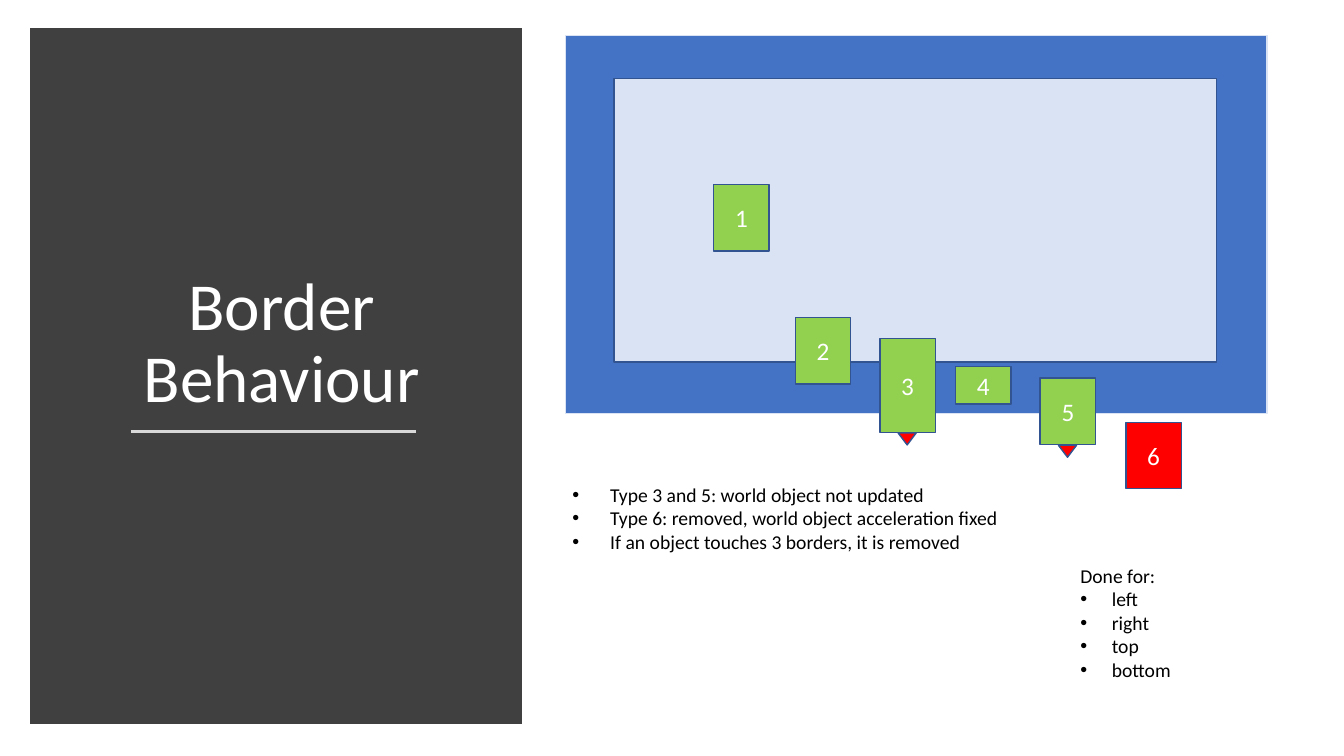
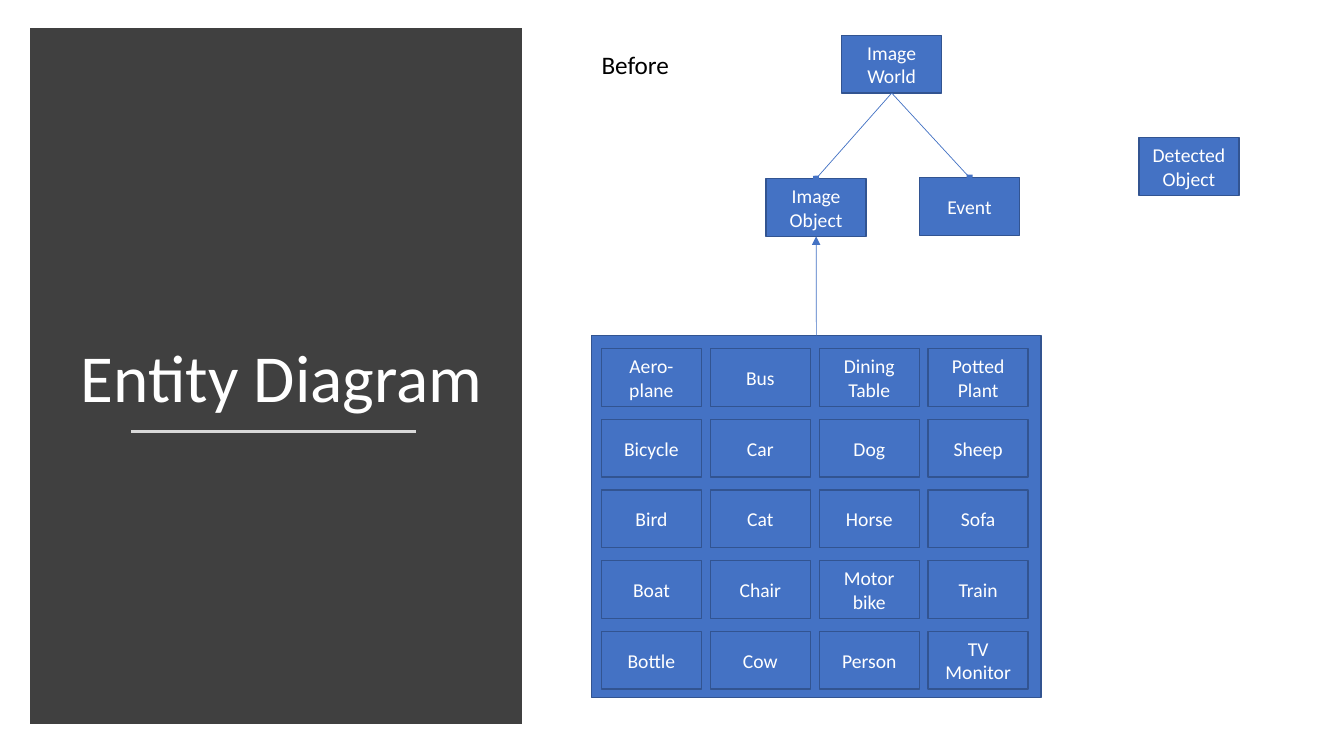
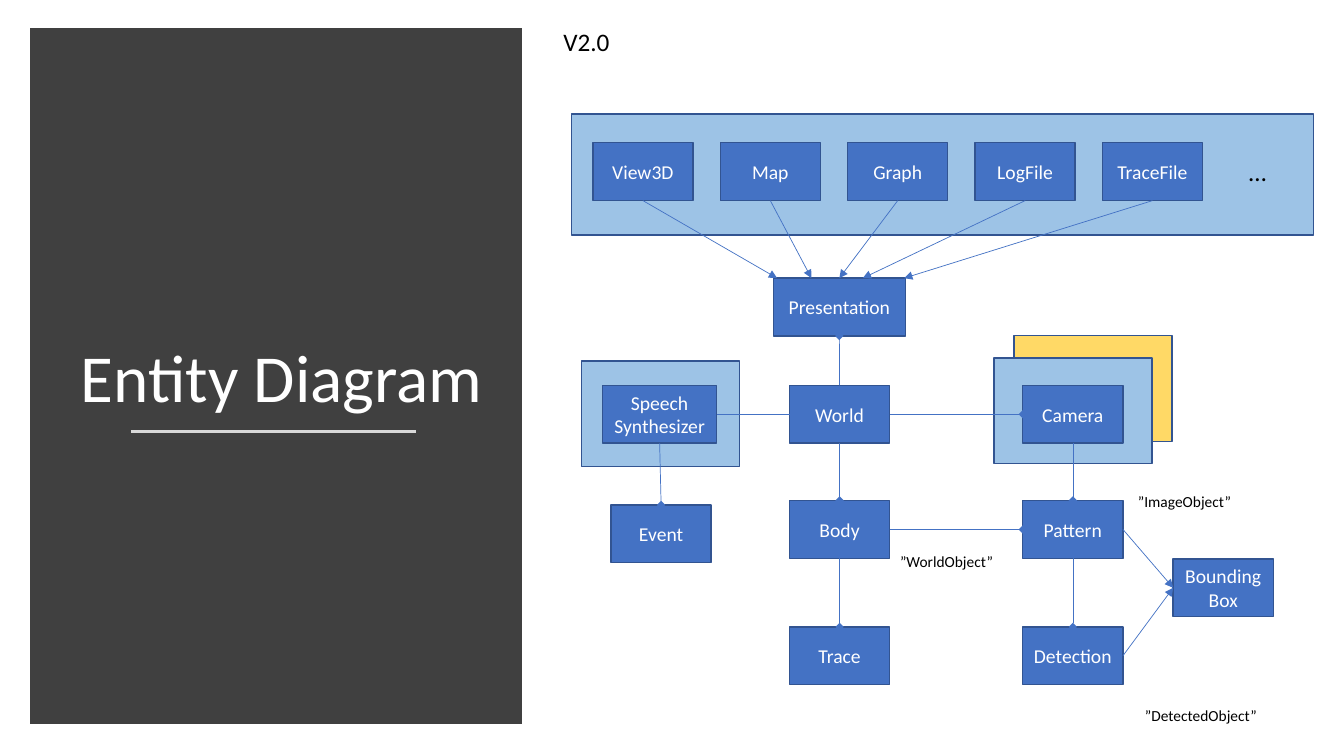
import pptx
import pptx.dml.color
import pptx.enum.shapes
import pptx.enum.text
import pptx.oxml
import pptx.oxml.ns
import pptx.util

Pt = pptx.util.Pt
SHAPE = pptx.enum.shapes.MSO_SHAPE
ALIGN = pptx.enum.text.PP_ALIGN
ANCHOR = pptx.enum.text.MSO_ANCHOR
TOP, LEFT, BOTTOM, RIGHT = range(4)


def rgb(value):
    return pptx.dml.color.RGBColor.from_string(value)


def add_xml(parent, tag, **attrs):
    el = pptx.oxml.parse_xml(f"<a:{tag} {pptx.oxml.ns.nsdecls('a')}/>")
    for name, value in attrs.items():
        el.set(name, str(value))
    parent.append(el)


class Deck:
    FONT = "Calibri"
    BLUE, EDGE, PALE, SKY = "4472C4", "325491", "DAE3F3", "9DC3E6"
    GREEN, RED, YELLOW = "92D050", "FF0000", "FFD966"
    DARK, RULE, WHITE, BLACK = "404040", "D9D9D9", "FFFFFF", "000000"
    BOX_W, BOX_H = 71.5, 41.3

    def __init__(self):
        self.prs = pptx.Presentation()
        self.prs.slide_width, self.prs.slide_height = Pt(960), Pt(540)
        self.s = None

    def new_slide(self, title):
        self.s = self.prs.slides.add_slide(self.prs.slide_layouts[6])
        panel = self.rect(26.6, 25.2, 341.3, 486.7, self.DARK, self.DARK, 10)
        add_xml(panel.line._get_or_add_ln(), "miter", lim=800000)
        self.line(93.6, 308.2, 297.4, 308.2, self.RULE, 1.75)
        tf = self.textbox(39.6, 72, 323.3, 229.7, title, 48, self.WHITE)
        tf.word_wrap = True
        tf.auto_size = pptx.enum.text.MSO_AUTO_SIZE.NONE
        tf.vertical_anchor = ANCHOR.BOTTOM
        p = tf.paragraphs[0]
        p.alignment = ALIGN.CENTER
        p.line_spacing, p.space_after = 0.9, Pt(6)

    def set_text(self, tf, text, size, color):
        tf.text = text
        for p in tf.paragraphs:
            for r in p.runs:
                r.font.name, r.font.size = self.FONT, Pt(size)
                r.font.color.rgb = rgb(color)

    def rect(self, x, y, w, h, fill, edge=EDGE, width=1, kind=SHAPE.RECTANGLE):
        sp = self.s.shapes.add_shape(kind, Pt(x), Pt(y), Pt(w), Pt(h))
        sp.shadow.inherit = False
        sp.fill.solid()
        sp.fill.fore_color.rgb = rgb(fill)
        sp.line.color.rgb = rgb(edge)
        sp.line.width = Pt(width)
        return sp

    def box(self, text, x, y, w=BOX_W, h=BOX_H, fill=BLUE, size=14):
        sp = self.rect(x, y, w, h, fill)
        tf = sp.text_frame
        self.set_text(tf, text, size, self.WHITE)
        tf.word_wrap = True
        tf.vertical_anchor = ANCHOR.MIDDLE
        for p in tf.paragraphs:
            p.alignment = ALIGN.CENTER
        return sp

    def pointer(self, x, y):
        sp = self.rect(x, y, 13, 8.6, self.RED, kind=SHAPE.ISOSCELES_TRIANGLE)
        sp.rotation = 180

    def textbox(self, x, y, w, h, text, size, color=BLACK):
        sp = self.s.shapes.add_textbox(Pt(x), Pt(y), Pt(w), Pt(h))
        tf = sp.text_frame
        tf.word_wrap = False
        tf.auto_size = pptx.enum.text.MSO_AUTO_SIZE.SHAPE_TO_FIT_TEXT
        self.set_text(tf, text, size, color)
        return tf

    def bullets(self, paragraphs, indent):
        for p in paragraphs:
            pPr = p._p.get_or_add_pPr()
            pPr.set("marL", str(Pt(indent)))
            pPr.set("indent", str(-Pt(indent)))
            add_xml(pPr, "buFont", typeface="Arial")
            add_xml(pPr, "buChar", char="•")

    def line(self, x1, y1, x2, y2, color=BLUE, width=0.5):
        cx = self.s.shapes.add_connector(
            pptx.enum.shapes.MSO_CONNECTOR.STRAIGHT, Pt(x1), Pt(y1), Pt(x2), Pt(y2))
        cx.line.color.rgb = rgb(color)
        cx.line.width = Pt(width)
        add_xml(cx._element.spPr, "effectLst")
        return cx

    def link(self, src, src_site, dst, dst_site, tip=None):
        cx = self.line(0, 0, 0, 0)
        cx.begin_connect(src, src_site)
        cx.end_connect(dst, dst_site)
        self.tip(cx, tip)

    def link_to_point(self, src, src_site, x, y, tip):
        cx = self.line(0, 0, x, y)
        cx.begin_connect(src, src_site)
        self.tip(cx, tip)

    def tip(self, cx, kind):
        if kind:
            add_xml(cx.line._get_or_add_ln(), "tailEnd", type=kind)


def border_behaviour(d):
    d.new_slide("Border Behaviour")
    d.rect(403.9, 25.2, 501.1, 270, d.BLUE, d.PALE)
    d.rect(438.5, 56.2, 430.6, 202.3, d.PALE)
    for text, x, y, h, fill in [
        ("1", 509.8, 131.8, 47.5, d.GREEN),
        ("2", 568, 226.8, 47.5, d.GREEN),
        ("4", 682.5, 262, 26.6, d.GREEN),
        ("3", 628.5, 241.9, 67, d.GREEN),
        ("6", 804.2, 301.7, 47.5, d.RED),
        ("5", 743, 270, 47.5, d.GREEN),
    ]:
        d.box(text, x, y, 39.6, h, fill, 18)
    d.pointer(641.5, 309.2)
    d.pointer(756, 318)
    rules = d.textbox(401.8, 341.3, 321.1, 58.3,
                      "Type 3 and 5: world object not updated\n"
                      "Type 6: removed, world object acceleration fixed\n"
                      "If an object touches 3 borders, it is removed", 14)
    d.bullets(rules.paragraphs, 27)
    sides = d.textbox(764.6, 398.9, 79.9, 92.2, "Done for:\nleft\nright\ntop\nbottom", 14)
    d.bullets(sides.paragraphs[1:], 22.5)


def entities_before(d):
    d.new_slide("Entity Diagram")
    group = d.rect(422.6, 239.8, 321.1, 258.5, d.BLUE)
    columns = [
        ["Aero-\nplane", "Bicycle", "Bird", "Boat", "Bottle"],
        ["Bus", "Car", "Cat", "Chair", "Cow"],
        ["Dining\nTable", "Dog", "Horse", "Motor\nbike", "Person"],
        ["Potted\nPlant", "Sheep", "Sofa", "Train", "TV\nMonitor"],
    ]
    for col, names in enumerate(columns):
        for row, name in enumerate(names):
            d.box(name, 429.6 + 77.8 * col, 249 + 50.5 * row)
    d.box("Detected\nObject", 813.6, 98.2)
    image_object = d.box("Image\nObject", 547.2, 127.6)
    event = d.box("Event", 656.8, 126.8)
    world = d.box("Image\nWorld", 601.2, 25.2)
    d.link(group, TOP, image_object, BOTTOM, "triangle")
    for child in (image_object, event):
        d.link(world, BOTTOM, child, TOP, "diamond")
    d.textbox(422.6, 31.7, 63.4, 28.8, "Before", 18)


def entities_v2(d):
    d.new_slide("Entity Diagram")
    for x, y, fill in [(724.3, 239.8, d.YELLOW), (709.9, 255.6, d.SKY), (415.4, 257.8, d.SKY)]:
        d.rect(x, y, 113, 75.6, fill)
    d.rect(408.2, 81.4, 529.9, 86.4, d.SKY)

    left, middle, right = 436.5, 564, 730.6
    upper, centre, lower = 275.2, 357.5, 447.8
    speech = d.box("Speech\nSynthesizer", 430.5, upper, 81.4)
    event = d.box("Event", left, 360.7)
    world = d.box("World", middle, upper)
    body = d.box("Body", middle, centre)
    trace = d.box("Trace", middle, lower)
    camera = d.box("Camera", right, upper)
    pattern = d.box("Pattern", right, centre)
    detection = d.box("Detection", right, lower)
    bounding = d.box("Bounding\nBox", 838, 399.2)
    presentation = d.box("Presentation", 552.4, 198.7, 94.3)
    names = ["View3D", "Map", "Graph", "LogFile", "TraceFile"]
    views = [d.box(name, 423.5 + 91 * i, 102) for i, name in enumerate(names)]

    for src, src_site, dst, dst_site in [
        (world, BOTTOM, body, TOP),
        (world, RIGHT, camera, LEFT),
        (world, TOP, presentation, BOTTOM),
        (camera, BOTTOM, pattern, TOP),
        (pattern, BOTTOM, detection, TOP),
        (body, BOTTOM, trace, TOP),
        (body, RIGHT, pattern, LEFT),
        (speech, BOTTOM, event, TOP),
    ]:
        d.link(src, src_site, dst, dst_site, "diamond")
    d.link(world, LEFT, speech, RIGHT)
    for src in (pattern, detection):
        d.link(src, RIGHT, bounding, LEFT, "triangle")
    d.link(views[2], BOTTOM, presentation, TOP, "triangle")
    for i, x in [(0, 555.1), (1, 579.6), (3, 616.3), (4, 645.8)]:
        d.link_to_point(views[i], BOTTOM, x, 198.7, "triangle")

    d.textbox(395.3, 15.1, 47.5, 28.8, "V2.0", 18)
    d.textbox(884.9, 108, 27.4, 28.8, "…", 18)
    for text, x, y, w in [
        ("”WorldObject”", 635.8, 391, 81.4),
        ("”ImageObject”", 805.7, 347.8, 81.4),
        ("”DetectedObject”", 810.7, 501.1, 95),
    ]:
        d.textbox(x, y, w, 20.9, text, 11)


def main():
    d = Deck()
    border_behaviour(d)
    entities_before(d)
    entities_v2(d)
    d.prs.save("out.pptx")


if __name__ == "__main__":
    main()
